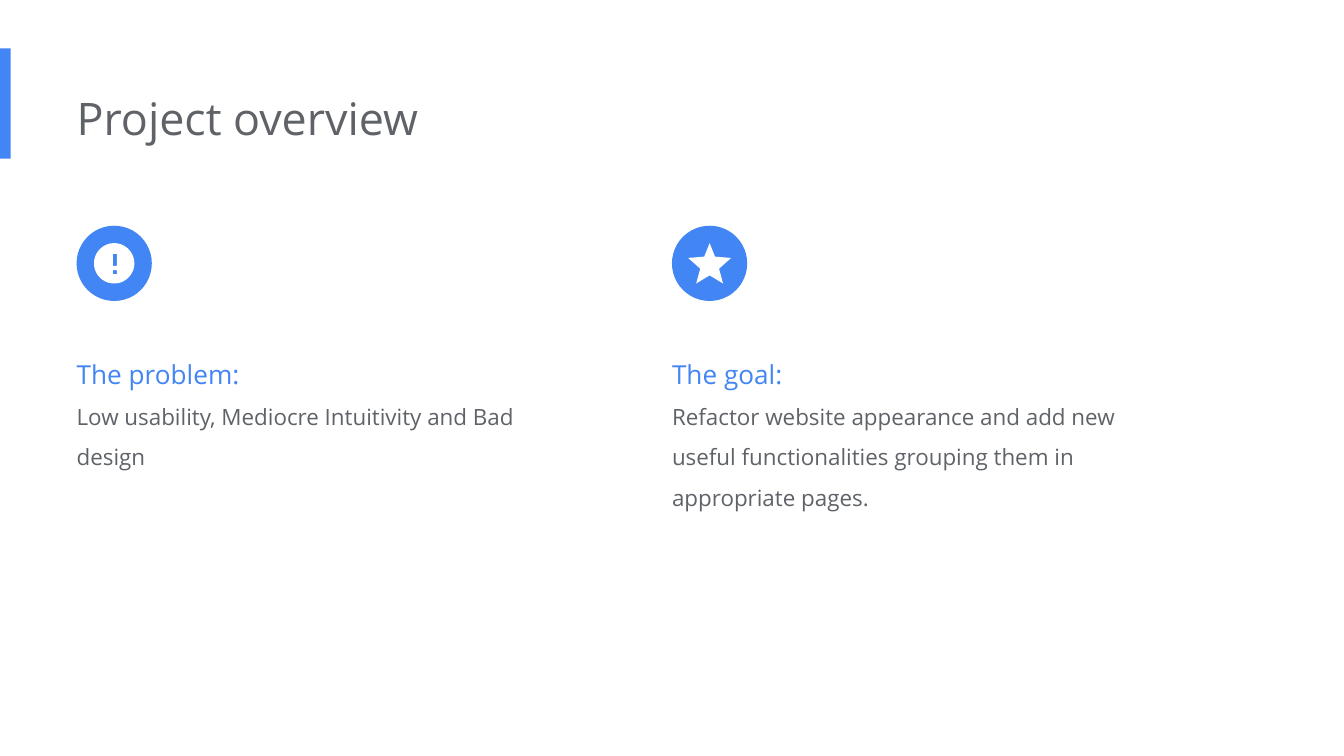
"""Build the project overview slide: a title and two columns, each with an icon badge."""
from math import cos, pi, sin

from pptx import Presentation
from pptx.dml.color import RGBColor
from pptx.enum.shapes import MSO_SHAPE
from pptx.enum.text import MSO_ANCHOR, MSO_AUTO_SIZE, PP_ALIGN
from pptx.util import Inches, Pt

RECT, OVAL = MSO_SHAPE.RECTANGLE, MSO_SHAPE.OVAL
TOP, MIDDLE = MSO_ANCHOR.TOP, MSO_ANCHOR.MIDDLE
NO_FIT, ALIGN_LEFT = MSO_AUTO_SIZE.NONE, PP_ALIGN.LEFT

THEME = {
    "font": "Open Sans",
    "blue": RGBColor(0x42, 0x85, 0xF4),
    "gray": RGBColor(0x5F, 0x63, 0x68),
    "white": RGBColor(0xFF, 0xFF, 0xFF),
    "title": Pt(24),
    "heading": Pt(14),
    "body": Pt(12),
}

DISC = [(0.28 + 0.15 * cos(i * pi / 36), 0.28 + 0.15 * sin(i * pi / 36)) for i in range(72)]
MARK_STEM = [(0.27, 0.21), (0.27, 0.3), (0.3, 0.3), (0.3, 0.21)]
MARK_DOT = [(0.27, 0.33), (0.27, 0.36), (0.3, 0.36), (0.3, 0.33)]
STAR = [(0.28, 0.37), (0.38, 0.43), (0.35, 0.32), (0.44, 0.24), (0.32, 0.23),
        (0.28, 0.13), (0.24, 0.23), (0.12, 0.24), (0.21, 0.32), (0.18, 0.43)]

TITLE = "Project overview"
COLUMNS = [
    ("The problem:", "Low usability, Mediocre Intuitivity and Bad design",
     [DISC, MARK_STEM, MARK_DOT]),
    ("The goal:",
     "Refactor website appearance and add new useful functionalities "
     "grouping them in appropriate pages.",
     [STAR]),
]

LEFT, COLUMN_STEP, COLUMN_WIDTH = 0.57, 4.43, 3.77
BADGE_TOP, BADGE_SIZE = 1.68, 0.56
TEXT_TOP, TEXT_HEIGHT = 2.45, 1.46


def paint(sp, color):
    sp.fill.solid()
    sp.fill.fore_color.rgb = color
    sp.line.fill.background()
    sp.shadow.inherit = False


def add_shape(s, kind, box, color):
    sp = s.shapes.add_shape(kind, *map(Inches, box))
    paint(sp, color)


def add_icon(s, outlines, left, top):
    rings = [[(Inches(left + x), Inches(top + y)) for x, y in o] for o in outlines]
    builder = s.shapes.build_freeform(*rings[0][0])
    for i, ring in enumerate(rings):
        if i:
            builder.move_to(*ring[0])
        builder.add_line_segments(ring[1:], close=True)
    paint(builder.convert_to_shape(), THEME["white"])


def fill_placeholder(sp, box, lines, anchor, spacing):
    sp.left, sp.top, sp.width, sp.height = map(Inches, box)
    tf = sp.text_frame
    tf.auto_size, tf.word_wrap, tf.vertical_anchor = NO_FIT, True, anchor
    tf.margin_left = 0
    tf.margin_top = tf.margin_right = tf.margin_bottom = Inches(0.1)
    tf.text = "\n".join(text for text, _, _ in lines)
    for p, (_, size, color) in zip(tf.paragraphs, lines):
        p.alignment = ALIGN_LEFT
        p.line_spacing = spacing
        p.space_before = Pt(0)
        p.font.name, p.font.size = THEME["font"], THEME[size]
        p.font.color.rgb = THEME[color]
        pPr = p._p.get_or_add_pPr()
        pPr.set("marL", "0")
        pPr.set("indent", "0")
        bullet = pPr.makeelement(
            "{http://schemas.openxmlformats.org/drawingml/2006/main}buNone", {})
        pPr.find("{*}defRPr").addprevious(bullet)


def main():
    prs = Presentation()
    prs.slide_width = Inches(10)
    prs.slide_height = prs.slide_width * 9 // 16
    s = prs.slides.add_slide(prs.slide_layouts[3])
    title, *bodies = s.placeholders

    add_shape(s, RECT, (0, 0.36, 0.08, 0.82), THEME["blue"])
    fill_placeholder(title, (LEFT, 0.57, 6.73, 0.61),
                     [(TITLE, "title", "gray")], MIDDLE, 1.0)
    for i, (body, (heading, text, icon)) in enumerate(zip(bodies, COLUMNS)):
        left = LEFT + i * COLUMN_STEP
        fill_placeholder(body, (left, TEXT_TOP, COLUMN_WIDTH, TEXT_HEIGHT),
                         [(heading, "heading", "blue"), (text, "body", "gray")], TOP, 1.5)
        add_shape(s, OVAL, (left, BADGE_TOP, BADGE_SIZE, BADGE_SIZE), THEME["blue"])
        add_icon(s, icon, left, BADGE_TOP)
    prs.save("out.pptx")


if __name__ == "__main__":
    main()
